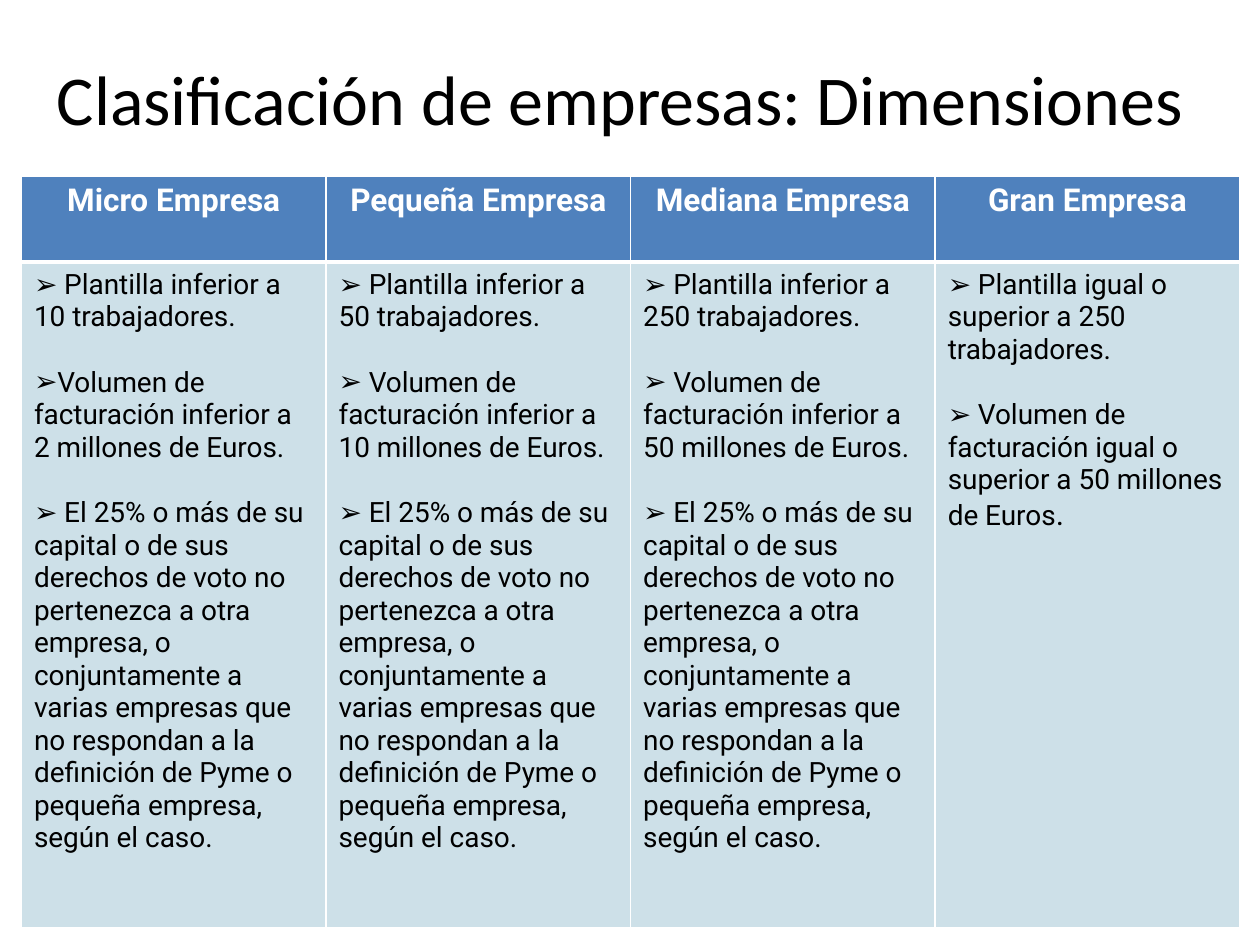
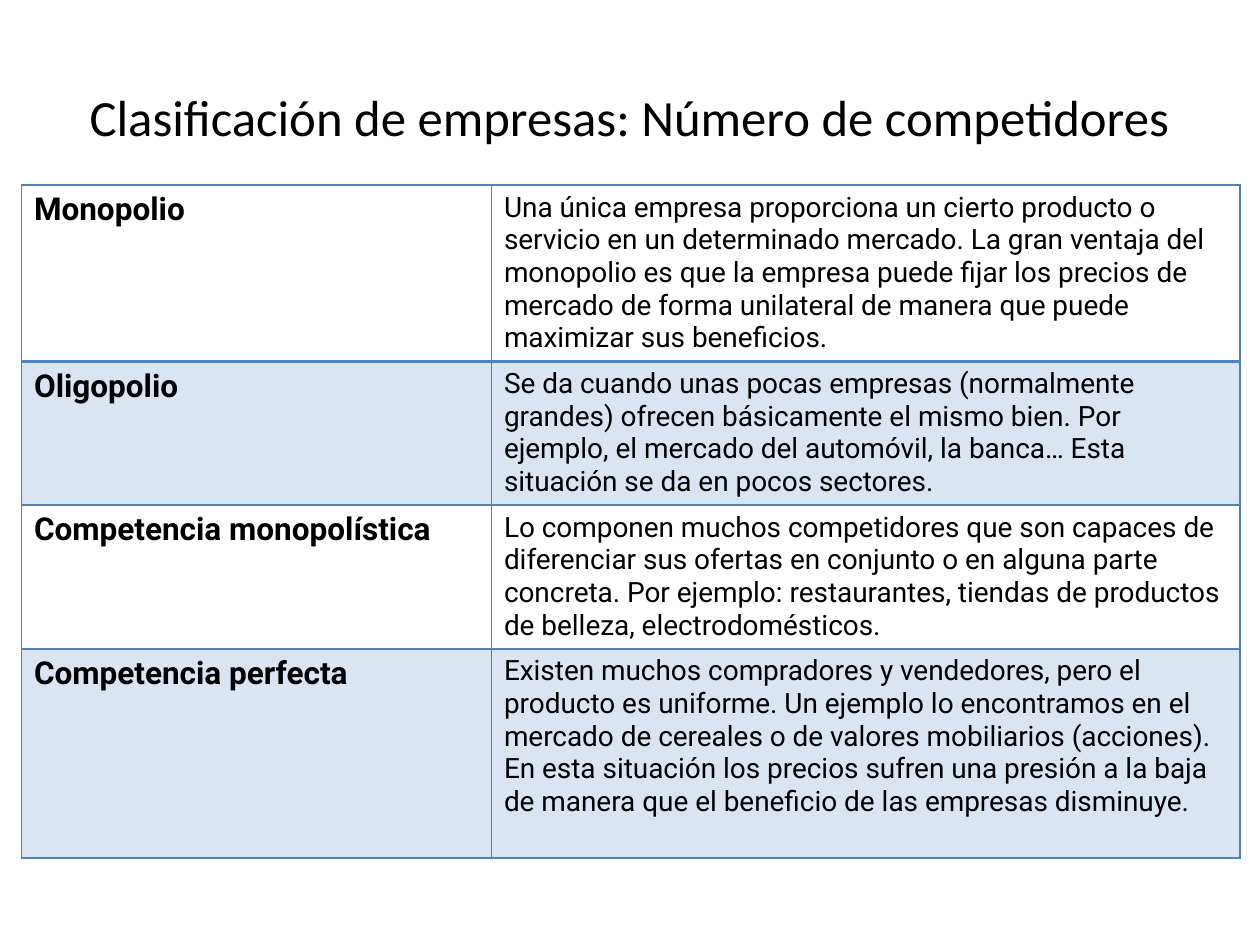
from dataclasses import dataclass

from lxml import etree
from pptx import Presentation
from pptx import util as u
from pptx.dml.color import RGBColor
from pptx.enum import text
from pptx.oxml import ns

Inches = u.Inches


@dataclass(frozen=True)
class Theme:
    title_font: str = "Calibri"
    body_font: str = "Roboto"
    black: str = "000000"
    white: str = "FFFFFF"
    blue: str = "4F81BD"
    pale: str = "CDE0E8"
    long_title_size: int = 29
    title_size: int = 40
    head_size: int = 18
    body_size: int = 16
    item_gap: float = 18.75
    thin: int = 1
    medium: int = 2
    thick: int = 3
    tint: int = 20  # opacity of tinted rows, percent


THEME = Theme()
TABLE_LEFT, TABLE_WIDTH = 0.17, 9.67


def sub(parent, tag, **attrs):
    """Append a DrawingML child element and return it."""
    return etree.SubElement(parent, ns.qn(tag), attrs)


def write(p, words, *, font=THEME.body_font, size=THEME.body_size,
          color=THEME.black, bold=False, align=None):
    """Append a formatted run to a paragraph."""
    r = p.add_run()
    r.text = words
    r.font.name, r.font.size, r.font.bold = font, u.Pt(size), bold
    r.font.color.rgb = RGBColor.from_string(color)
    if align is not None:
        p.alignment = align


class Deck:
    def __init__(self, theme):
        self.theme = theme
        self.prs = Presentation()
        self.prs.slide_width, self.prs.slide_height = Inches(10), Inches(7.5)
        self.s = None

    def slide(self):
        title_only = self.prs.slide_layouts[5]
        self.s = self.prs.slides.add_slide(title_only)

    def title(self, words, left, top, width, height, size):
        sp = self.s.shapes.title
        sp.left, sp.top = Inches(left), Inches(top)
        sp.width, sp.height = Inches(width), Inches(height)
        tf = sp.text_frame
        tf.word_wrap = True
        tf.auto_size = text.MSO_AUTO_SIZE.NONE
        tf.vertical_anchor = text.MSO_ANCHOR.MIDDLE
        write(tf.paragraphs[0], words, font=self.theme.title_font, size=size,
              align=text.PP_ALIGN.CENTER)

    def table(self, top, cols, rows):
        """Add an unbanded table with the given column widths and row heights."""
        frame = self.s.shapes.add_table(
            len(rows), len(cols), Inches(TABLE_LEFT), Inches(top),
            Inches(TABLE_WIDTH), Inches(sum(rows)))
        table = frame.table
        table.first_row = table.horz_banding = False
        for col, width in zip(table.columns, cols):
            col.width = Inches(width)
        for row, height in zip(table.rows, rows):
            row.height = Inches(height)
        return table

    def borders(self, cell, color, top=THEME.thin, bottom=THEME.thin):
        """Outline a cell; call before fill, since borders come first in the XML."""
        tc_pr = cell._tc.get_or_add_tcPr()
        widths = {"L": self.theme.thin, "R": self.theme.thin, "T": top, "B": bottom}
        for side, width in widths.items():
            ln = sub(tc_pr, f"a:ln{side}", w=str(u.Pt(width)))
            sub(sub(ln, "a:solidFill"), "a:srgbClr", val=color)

    def fill(self, cell, color, opacity=100):
        cell.fill.solid()
        cell.fill.fore_color.rgb = RGBColor.from_string(color)
        if opacity < 100:
            rgb = cell._tc.tcPr.find(ns.qn("a:solidFill")).find(ns.qn("a:srgbClr"))
            sub(rgb, "a:alpha", val=str(opacity * 1000))

    def bullets(self, cell, items):
        tf = cell.text_frame
        for i, item in enumerate(items):
            p = tf.add_paragraph() if i else tf.paragraphs[0]
            p.space_before = u.Pt(self.theme.item_gap if i else 0)
            p_pr = p._p.get_or_add_pPr()
            p_pr.set("marL", "0")
            p_pr.set("indent", "0")
            sub(p_pr, "a:buFont", typeface=self.theme.body_font)
            sub(p_pr, "a:buChar", char="➢")
            write(p, item)


CAPITAL = (" El 25% o más de su capital o de sus derechos de voto no pertenezca a otra "
           "empresa, o conjuntamente a varias empresas que no respondan a la definición "
           "de Pyme o pequeña empresa, según el caso.")


def limits(staff, volume, lead=" "):
    """List the upper limits of a company size; volume is in millions."""
    return [f" Plantilla inferior a {staff} trabajadores.",
            f"{lead}Volumen de facturación inferior a {volume} millones de Euros.",
            CAPITAL]


SIZES = {
    "Micro Empresa": limits(10, 2, lead=""),
    "Pequeña Empresa": limits(50, 10),
    "Mediana Empresa": limits(250, 50),
    "Gran Empresa": [" Plantilla igual o superior a 250 trabajadores.",
                     " Volumen de facturación igual o superior a 50 millones de Euros"],
}

MARKETS = {
    "Monopolio":
        "Una única empresa proporciona un cierto producto o servicio en un determinado "
        "mercado. La gran ventaja del monopolio es que la empresa puede fijar los precios "
        "de mercado de forma unilateral de manera que puede maximizar sus beneficios.",
    "Oligopolio":
        "Se da cuando unas pocas empresas (normalmente grandes) ofrecen básicamente el "
        "mismo bien. Por ejemplo, el mercado del automóvil, la banca… Esta situación se "
        "da en pocos sectores.",
    "Competencia monopolística":
        "Lo componen muchos competidores que son capaces de diferenciar sus ofertas en "
        "conjunto o en alguna parte concreta. Por ejemplo: restaurantes, tiendas de "
        "productos de belleza, electrodomésticos.",
    "Competencia perfecta":
        "Existen muchos compradores y vendedores, pero el producto es uniforme. Un ejemplo "
        "lo encontramos en el mercado de cereales o de valores mobiliarios (acciones). En "
        "esta situación los precios sufren una presión a la baja de manera que el "
        "beneficio de las empresas disminuye.",
}


def dimensions_slide(deck):
    t = deck.theme
    deck.slide()
    deck.title("Clasificación de empresas: Dimensiones", 0.17, 0.3, 9.5, 0.95,
               t.title_size)
    col_width = TABLE_WIDTH / len(SIZES)
    table = deck.table(1.4, [col_width] * len(SIZES), [0.68, 5.28])
    for c, (name, items) in enumerate(SIZES.items()):
        head, body = table.cell(0, c), table.cell(1, c)
        deck.borders(head, t.white, bottom=t.thick)
        deck.fill(head, t.blue)
        write(head.text_frame.paragraphs[0], name, size=t.head_size, color=t.white,
              bold=True, align=text.PP_ALIGN.CENTER)
        deck.borders(body, t.white, top=t.thick)
        deck.fill(body, t.pale)
        deck.bullets(body, items)
    # The closing full stop of the last column is set larger than its sentence.
    last_cell = table.cell(1, len(SIZES) - 1)
    write(last_cell.text_frame.paragraphs[-1], ".", size=t.head_size)


def competitors_slide(deck):
    t = deck.theme
    deck.slide()
    deck.title("Clasificación de empresas: Número de competidores", 0.5, 0.3, 9, 1.25,
               t.long_title_size)
    table = deck.table(1.47, [3.73, 5.94], [1.4, 1.14, 1.14, 1.66])
    # The rule between the first two rows is heavier than the others.
    rules = [t.thin, t.medium, t.thin, t.thin, t.thin]
    for i, (name, meaning) in enumerate(MARKETS.items()):
        name_cell, meaning_cell = table.rows[i].cells
        for cell in (name_cell, meaning_cell):
            deck.borders(cell, t.blue, top=rules[i], bottom=rules[i + 1])
            if i % 2:
                deck.fill(cell, t.blue, t.tint)
            else:
                cell.fill.background()
        write(name_cell.text_frame.paragraphs[0], name, size=t.head_size, bold=True)
        write(meaning_cell.text_frame.paragraphs[0], meaning)


def main():
    deck = Deck(THEME)
    dimensions_slide(deck)
    competitors_slide(deck)
    deck.prs.save("out.pptx")


if __name__ == "__main__":
    main()
